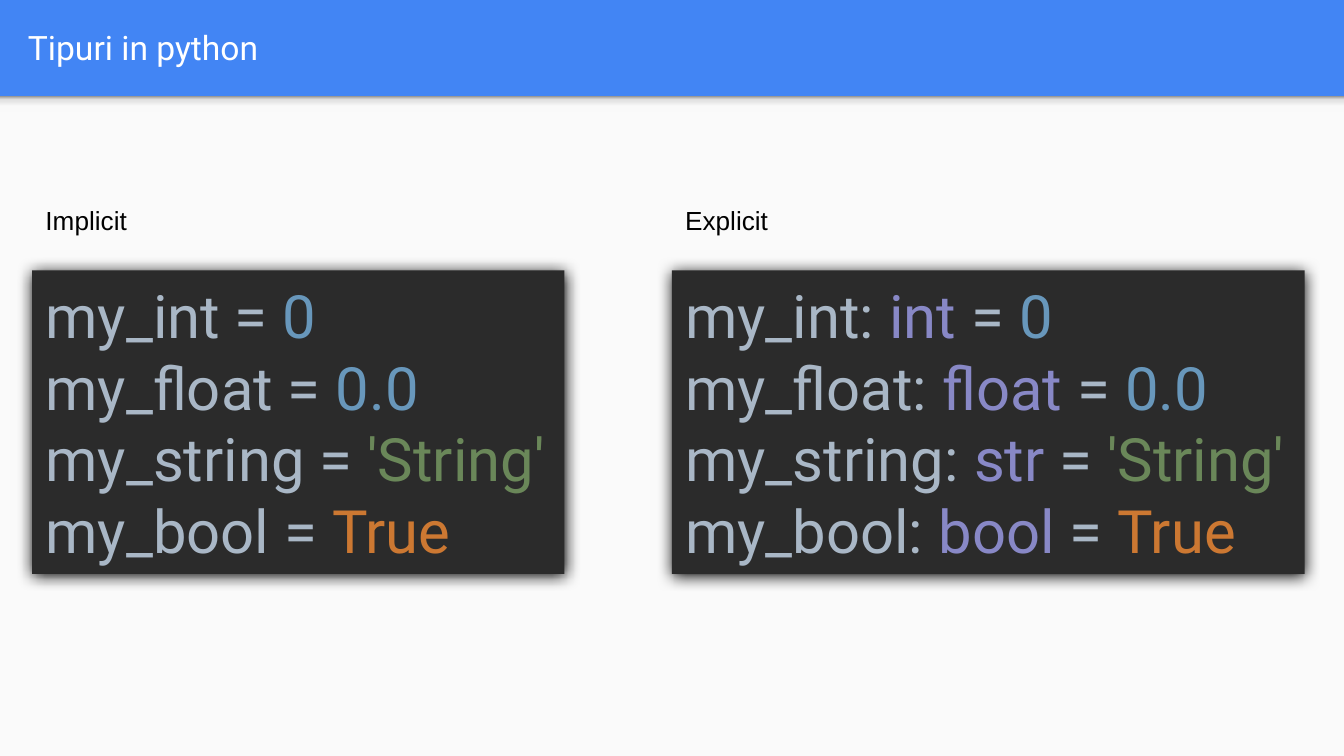
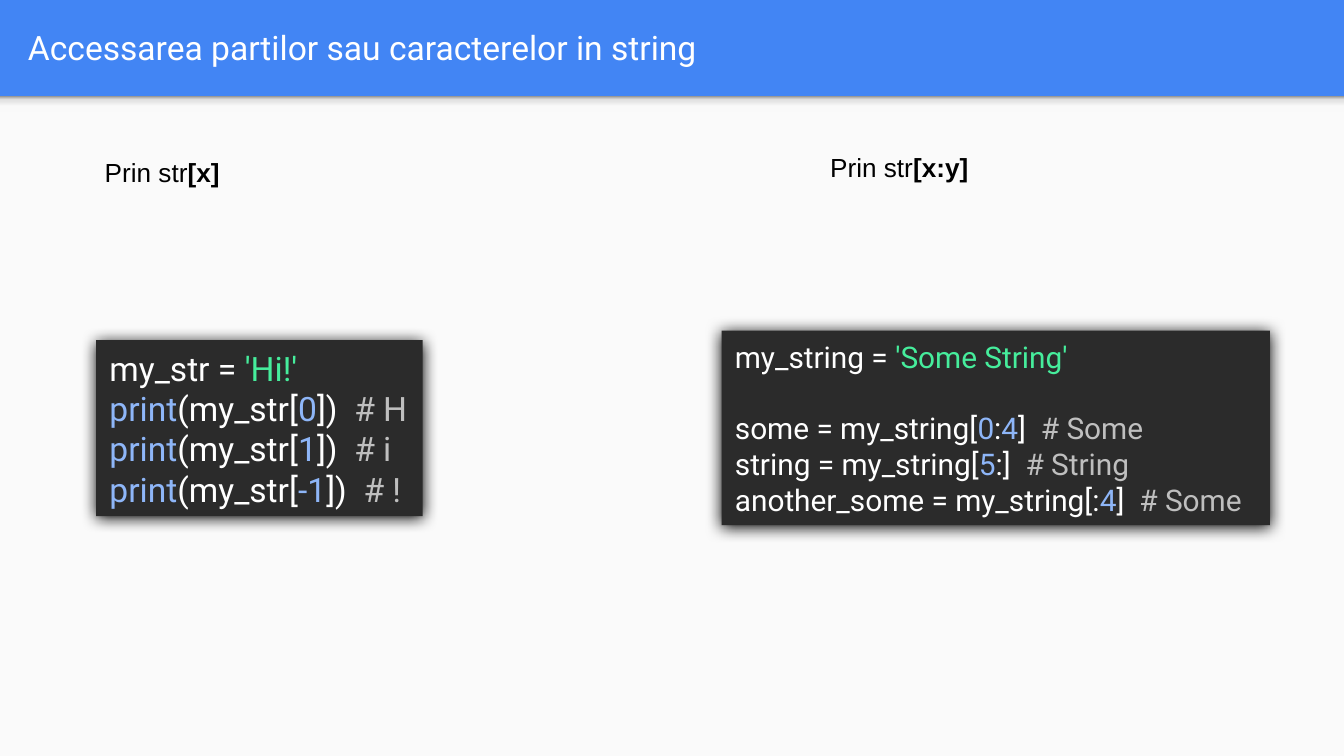
from lxml.etree import SubElement
from pptx import Presentation
from pptx.dml.color import RGBColor
from pptx.enum.shapes import MSO_SHAPE
from pptx.enum.text import MSO_ANCHOR, MSO_AUTO_SIZE, PP_ALIGN
from pptx.oxml.ns import qn
from pptx.util import Cm, Pt

# Colours
BLUE = RGBColor(0x42, 0x85, 0xF4)
PAPER = RGBColor(0xFA, 0xFA, 0xFA)
WHITE = RGBColor(0xFF, 0xFF, 0xFF)
BLACK = RGBColor(0, 0, 0)
DARK = RGBColor(0x2B, 0x2B, 0x2B)
NAME = RGBColor(0xA9, 0xB7, 0xC6)
NUM = RGBColor(0x68, 0x97, 0xBB)
QUOTE = RGBColor(0x6A, 0x87, 0x59)
WORD = RGBColor(0xCC, 0x78, 0x32)
TYPE = RGBColor(0x88, 0x88, 0xC6)
MINT = RGBColor(0x46, 0xED, 0x9C)
SKY = RGBColor(0x8E, 0xB6, 0xF8)
GREY = RGBColor(0xBF, 0xBF, 0xBF)
FADE = [(0, RGBColor(0xF9, 0xF9, 0xF9)), (36, RGBColor(0xF9, 0xF9, 0xF9)),
        (80, RGBColor(0xDE, 0xDE, 0xDE)), (100, RGBColor(0x99, 0x99, 0x99))]

# Content: variables as (name, type, value, value colour)
VARS = [("my_int", "int", "0", NUM), ("my_float", "float", "0.0", NUM),
        ("my_string", "str", "'String'", QUOTE), ("my_bool", "bool", "True", WORD)]
PLAIN = [[(f"{name} = ", NAME), (val, hue)] for name, kind, val, hue in VARS]
TYPED = [[(f"{name}: ", NAME), (f"{kind} ", TYPE), ("= ", NAME), (val, hue)]
         for name, kind, val, hue in VARS]

# Content: indexing and slicing; an empty line leaves a gap
INDEX = [[("my_str = ", WHITE), ("'Hi!'", MINT)]] + [
    [("print", SKY), ("(my_str[", WHITE), (pos, SKY), ("])  ", WHITE), (f"# {out}", GREY)]
    for pos, out in [("0", "H"), ("1", "i"), ("-1", "!")]]
SLICE = [
    [("my_string = ", WHITE), ("'Some String'", MINT)],
    [],
    [("some = my_string[", WHITE), ("0", SKY), (":", WHITE), ("4", SKY),
     ("]  ", WHITE), ("# Some", GREY)],
    [("string = my_string[", WHITE), ("5", SKY), (":]  ", WHITE), ("# String", GREY)],
    [("another_some = my_string[:", WHITE), ("4", SKY), ("]  ", WHITE), ("# Some", GREY)],
]

# Slides: labels are (plain, bold, place), code is (lines, size, place); places in cm
SLIDES = [
    dict(title="Tipuri in python",
         labels=[("Implicit", "", (0.61, 3.73, 9.88, 0.86)),
                 ("Explicit", "", (12.7, 3.73, 9.88, 0.86))],
         code=[(PLAIN, 32, (0.61, 5.11, 10.06, 5.74)),
               (TYPED, 32, (12.7, 5.11, 11.96, 5.74))]),
    dict(title="Accessarea partilor sau caracterelor in string",
         labels=[("Prin str", "[x]", (1.73, 2.84, 4.72, 0.86)),
                 ("Prin str", "[x:y]", (15.44, 2.74, 5.97, 0.86))],
         code=[(INDEX, 18, (1.82, 6.43, 6.17, 3.33)),
               (SLICE, 16, (13.64, 6.25, 10.36, 3.68))]),
]
WIDE, HIGH, TOP = 25.4, 14.29, 1.82


def write(frame, lines, font="Roboto", size=18, anchor=MSO_ANCHOR.TOP, wrap=True, grow=True):
    """Fill a frame with lines of (text, colour[, bold]) runs."""
    frame.word_wrap = wrap
    frame.vertical_anchor = anchor
    frame.auto_size = MSO_AUTO_SIZE.SHAPE_TO_FIT_TEXT if grow else MSO_AUTO_SIZE.NONE
    gap, para = 0, None
    for line in lines:
        if not line:
            gap += size * 1.2
            continue
        para = frame.add_paragraph() if para else frame.paragraphs[0]
        para.alignment = PP_ALIGN.LEFT
        if gap:
            para.space_before = Pt(gap)
            gap = 0
        for text, hue, *bold in line:
            run = para.add_run()
            run.text = text
            run.font.name, run.font.size = font, Pt(size)
            run.font.color.rgb = hue
            if bold:
                run.font.bold = True


def block(slide, place, hue):
    """Add a plain filled rectangle."""
    rect = slide.shapes.add_shape(MSO_SHAPE.RECTANGLE, *map(Cm, place))
    rect.fill.solid()
    rect.fill.fore_color.rgb = hue
    rect.line.fill.background()
    rect.shadow.inherit = False
    return rect


def paint(node, hue):
    return SubElement(node, qn("a:srgbClr"), val=str(hue))


def base(slide, title):
    """Blue header, pale body, soft edge and title."""
    slide.background.fill.solid()
    slide.background.fill.fore_color.rgb = BLUE
    block(slide, (0, TOP, WIDE, HIGH - TOP), PAPER)
    edge = block(slide, (0, TOP, WIDE, 0.3), PAPER)
    edge.fill.gradient()
    edge.fill.gradient_angle = 90
    stops = edge.element.spPr.find(".//" + qn("a:gsLst"))
    for stop in list(stops):
        stops.remove(stop)
    for pos, hue in FADE:
        paint(SubElement(stops, qn("a:gs"), pos=str(pos * 1000)), hue)
    box = slide.shapes.add_textbox(Cm(0.28), Cm(0.05), Cm(24.51), Cm(1.68))
    box.text_frame.margin_top = box.text_frame.margin_bottom = Cm(0.25)
    write(box.text_frame, [[(title, WHITE)]], anchor=MSO_ANCHOR.MIDDLE, grow=False)


def panel(slide, lines, size, place):
    """Dark code panel with a shadow."""
    rect = block(slide, place, DARK)
    glow = SubElement(rect.element.spPr.find(qn("a:effectLst")), qn("a:outerShdw"),
                      blurRad=str(Pt(8.5)), dist=str(Pt(1)), dir="5400000",
                      algn="ctr", rotWithShape="0")
    paint(glow, BLACK)
    write(rect.text_frame, lines, size=size, anchor=MSO_ANCHOR.MIDDLE, wrap=False)


# Build
deck = Presentation()
deck.slide_width, deck.slide_height = Cm(WIDE), Cm(HIGH)
for page in SLIDES:
    slide = deck.slides.add_slide(deck.slide_layouts[6])
    base(slide, page["title"])
    for part in page["code"]:
        panel(slide, *part)
    for text, bold, place in page["labels"]:
        box = slide.shapes.add_textbox(*map(Cm, place))
        runs = [(text, BLACK)] + ([(bold, BLACK, True)] if bold else [])
        write(box.text_frame, [runs], font="Arial", size=14)
deck.save("out.pptx")
